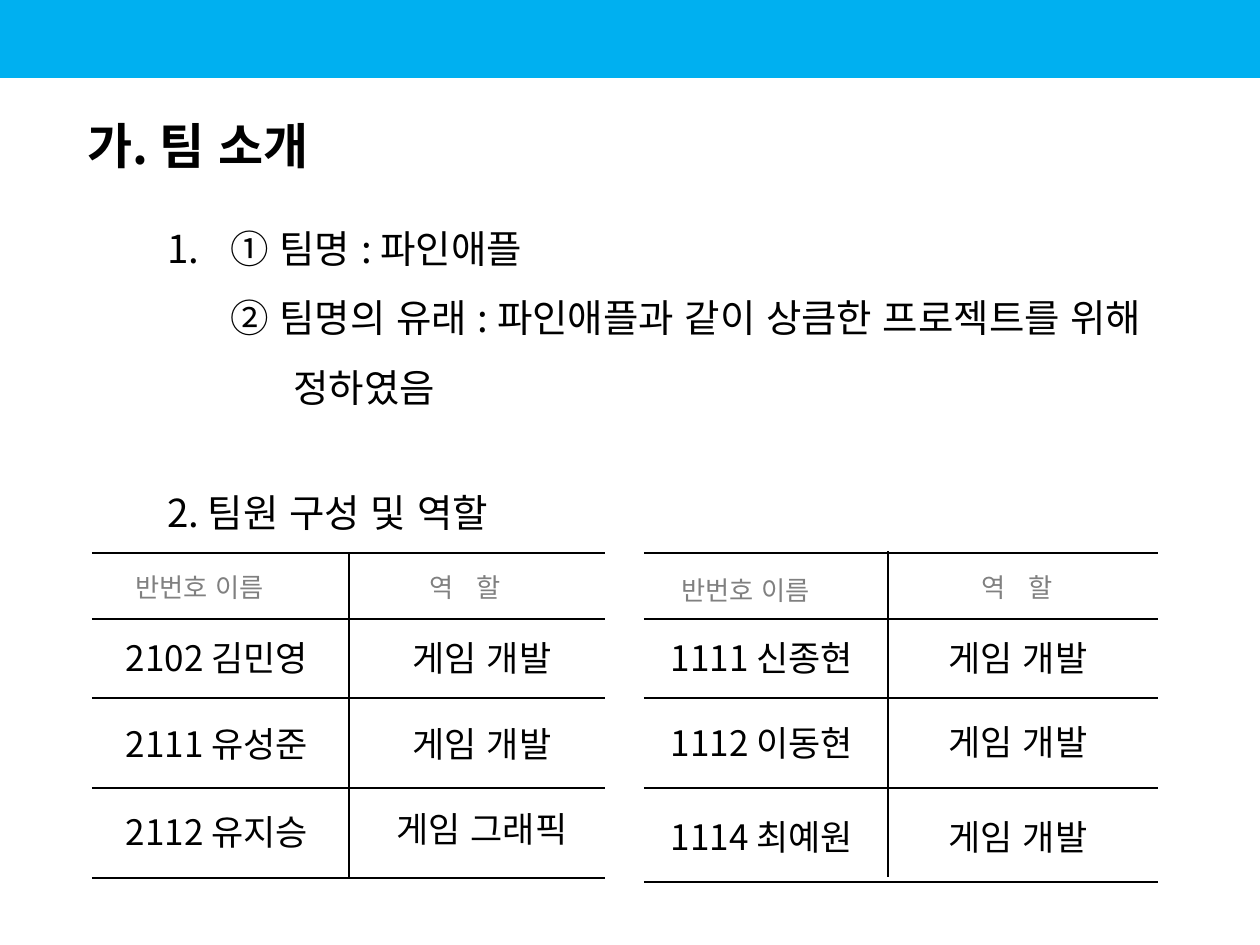
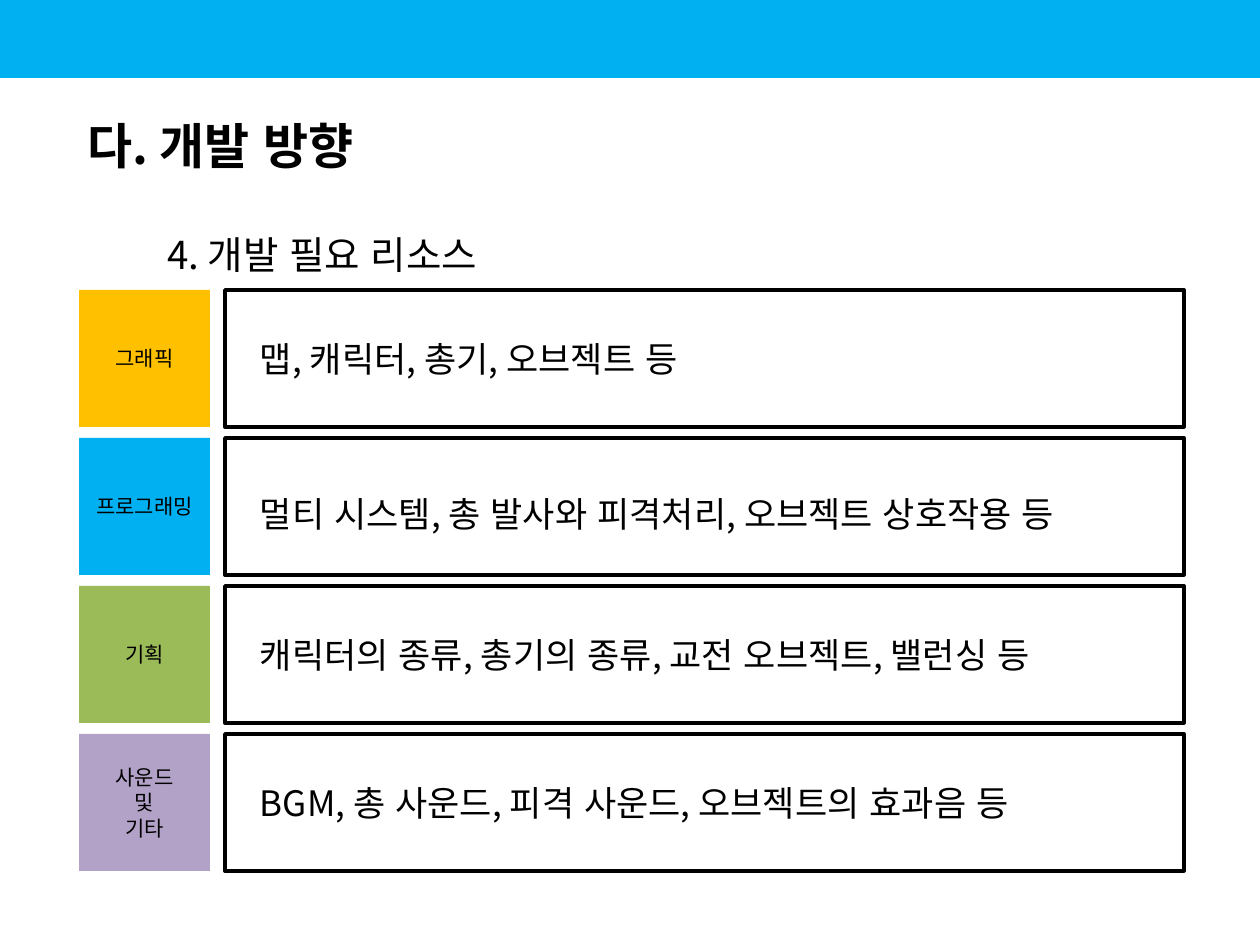
from lxml import etree
from pptx import Presentation
from pptx.dml.color import RGBColor
from pptx.enum.shapes import MSO_CONNECTOR as Connector, MSO_SHAPE as Shape
from pptx.enum.text import MSO_ANCHOR as Anchor, PP_ALIGN as Align
from pptx.oxml.ns import qn
from pptx.util import Pt

EMU_PER_PX = 914400 / 126
FONT = "Noto Sans CJK KR"
BLACK = RGBColor(0x00, 0x00, 0x00)
GRAY = RGBColor(0x80, 0x80, 0x80)
SKY = RGBColor(0x00, 0xB0, 0xF0)
AMBER = RGBColor(0xFF, 0xC0, 0x00)
GREEN = RGBColor(0x9B, 0xBB, 0x59)
LILAC = RGBColor(0xB3, 0xA2, 0xC7)

SLIDE_SIZE = (1260, 945)
BAND = (0, 0, 1260, 78)
TITLE = (75, 94, 1185, 102)
SECTION_LEFT, SECTION_WIDTH, SECTION_HEIGHT = 155, 1009, 91

TEAM_TITLE = "가. 팀 소개"
TEAM_NAME = ["① 팀명 : 파인애플",
             "② 팀명의 유래 : 파인애플과 같이 상큼한 프로젝트를 위해 정하였음"]
TEAM_NAME_BOX = (155, 196, 1009, 220)
MEMBERS_HEADING = "2. 팀원 구성 및 역할"
NAME_HEADER, ROLE_HEADER = "반번호 이름", "역 할"
RULE_TOPS = (553, 619, 698, 788)
HEADER_HEIGHT, MEMBER_WIDTH, MEMBER_HEIGHT = 44, 224, 53
# Each member: name, role, top of the name, top of the role
MEMBER_GRIDS = [
    {"left": 92, "right": 605, "bottom": 878, "divider": (349, 553, 878),
     "name_header": (103, 565, 193), "role_header": (336, 565, 258),
     "name_left": 105, "role_left": 370,
     "members": [("2102 김민영", "게임 개발", 630, 630),
                 ("2111 유성준", "게임 개발", 716, 716),
                 ("2112 유지승", "게임 그래픽", 804, 801)]},
    {"left": 644, "right": 1158, "bottom": 882, "divider": (888, 551, 877),
     "name_header": (649, 568, 193), "role_header": (888, 565, 258),
     "name_left": 650, "role_left": 906,
     "members": [("1111 신종현", "게임 개발", 630, 630),
                 ("1112 이동현", "게임 개발", 715, 714),
                 ("1114 최예원", "게임 개발", 809, 809)]},
]

PLAN_TITLE = "다. 개발 방향"
RESOURCES_HEADING = "4. 개발 필요 리소스"
# Each resource: label lines, colour, detail, how far the detail sits below the middle
RESOURCES = [
    (["그래픽"], AMBER, "맵, 캐릭터, 총기, 오브젝트 등", 0),
    (["프로그래밍"], SKY, "멀티 시스템, 총 발사와 피격처리, 오브젝트 상호작용 등", 7),
    (["기획"], GREEN, "캐릭터의 종류, 총기의 종류, 교전 오브젝트, 밸런싱 등", 0),
    (["사운드", "및", "기타"], LILAC,
     "BGM, 총 사운드, 피격 사운드, 오브젝트의 효과음 등", 0),
]
RESOURCE_TOP, RESOURCE_STEP, RESOURCE_HEIGHT = 290, 148, 137
LABEL_LEFT, LABEL_WIDTH = 79, 131
DETAIL_LEFT, DETAIL_WIDTH, DETAIL_INDENT = 225, 959, 35


def px(length):
    return round(length * EMU_PER_PX)


def write_text(frame, lines, size=20, color=BLACK, bold=False, align=Align.LEFT,
               anchor=Anchor.MIDDLE, line_spacing=None, tracking=0):
    frame.word_wrap = True
    frame.vertical_anchor = anchor
    for index, line in enumerate(lines):
        paragraph = frame.add_paragraph() if index else frame.paragraphs[0]
        paragraph.alignment = align
        if line_spacing:
            paragraph.line_spacing = line_spacing
        run = paragraph.add_run()
        run.text = line
        run.font.size = Pt(size)
        run.font.bold = bold
        run.font.color.rgb = color
        run.font.name = FONT
        properties = run.font._element
        properties.set("lang", "ko-KR")
        properties.set("kern", "0")
        etree.SubElement(properties, qn("a:ea")).set("typeface", FONT)
        if tracking:
            properties.set("spc", str(tracking))


def add_text(slide, box, lines, **text_format):
    frame = slide.shapes.add_textbox(*map(px, box)).text_frame
    write_text(frame, lines, **text_format)
    return frame


def add_rectangle(slide, box, fill=None, line_width=0):
    shape = slide.shapes.add_shape(Shape.RECTANGLE, *map(px, box))
    shape.shadow.inherit = False
    if fill is None:
        shape.fill.background()
    else:
        shape.fill.solid()
        shape.fill.fore_color.rgb = fill
    if line_width:
        shape.line.color.rgb = BLACK
        shape.line.width = Pt(line_width)
    else:
        shape.line.fill.background()
    return shape


def add_rule(slide, *ends):
    rule = slide.shapes.add_connector(Connector.STRAIGHT, *map(px, ends))
    rule.line.color.rgb = BLACK
    rule.line.width = Pt(1.5)
    etree.SubElement(rule._element.spPr, qn("a:effectLst"))


def add_base_slide(presentation, title):
    """Add a slide with the shared band and title."""
    slide = presentation.slides.add_slide(presentation.slide_layouts[6])
    add_rectangle(slide, BAND, fill=SKY)
    add_text(slide, TITLE, [title], size=28, bold=True)
    return slide


def add_section_heading(slide, top, text):
    add_text(slide, (SECTION_LEFT, top, SECTION_WIDTH, SECTION_HEIGHT), [text],
             size=22, anchor=Anchor.TOP, line_spacing=1.5)


def set_indent(paragraph, left, hanging, numbering=None):
    properties = paragraph._p.get_or_add_pPr()
    properties.set("marL", str(px(left)))
    properties.set("indent", str(-px(hanging)))
    if numbering:
        etree.SubElement(properties, qn("a:buFont")).set("typeface", "+mj-lt")
        etree.SubElement(properties, qn("a:buAutoNum")).set("type", numbering)


def add_member_grid(slide, grid):
    for top in (*RULE_TOPS, grid["bottom"]):
        add_rule(slide, grid["left"], top, grid["right"], top)
    divider, top, bottom = grid["divider"]
    add_rule(slide, divider, top, divider, bottom)

    for key, text, tracking in (("name_header", NAME_HEADER, 0),
                                ("role_header", ROLE_HEADER, 450)):
        add_text(slide, (*grid[key], HEADER_HEIGHT), [text], size=15, color=GRAY,
                 align=Align.CENTER, tracking=tracking)
    for name, role, name_top, role_top in grid["members"]:
        for text, left, top in ((name, grid["name_left"], name_top),
                                (role, grid["role_left"], role_top)):
            add_text(slide, (left, top, MEMBER_WIDTH, MEMBER_HEIGHT), [text],
                     align=Align.CENTER, anchor=Anchor.TOP)


def build_team_slide(presentation):
    slide = add_base_slide(presentation, TEAM_TITLE)
    frame = add_text(slide, TEAM_NAME_BOX, TEAM_NAME, size=22, line_spacing=1.5)
    name, origin = frame.paragraphs
    set_indent(name, 63, 63, numbering="arabicPeriod")
    set_indent(origin, 126, 63)
    add_section_heading(slide, 460, MEMBERS_HEADING)
    for grid in MEMBER_GRIDS:
        add_member_grid(slide, grid)


def build_resource_slide(presentation):
    slide = add_base_slide(presentation, PLAN_TITLE)
    add_section_heading(slide, 202, RESOURCES_HEADING)
    for index, (label_lines, color, detail, drop) in enumerate(RESOURCES):
        top = RESOURCE_TOP + index * RESOURCE_STEP
        label = add_rectangle(
            slide, (LABEL_LEFT, top, LABEL_WIDTH, RESOURCE_HEIGHT), fill=color)
        write_text(label.text_frame, label_lines, size=12, align=Align.CENTER)
        frame = add_rectangle(
            slide, (DETAIL_LEFT, top, DETAIL_WIDTH, RESOURCE_HEIGHT),
            line_width=2).text_frame
        frame.margin_left = px(DETAIL_INDENT)
        frame.margin_top += px(2 * drop)
        write_text(frame, [detail])


def main():
    presentation = Presentation()
    presentation.slide_width, presentation.slide_height = map(px, SLIDE_SIZE)
    build_team_slide(presentation)
    build_resource_slide(presentation)
    presentation.save("out.pptx")


if __name__ == "__main__":
    main()
